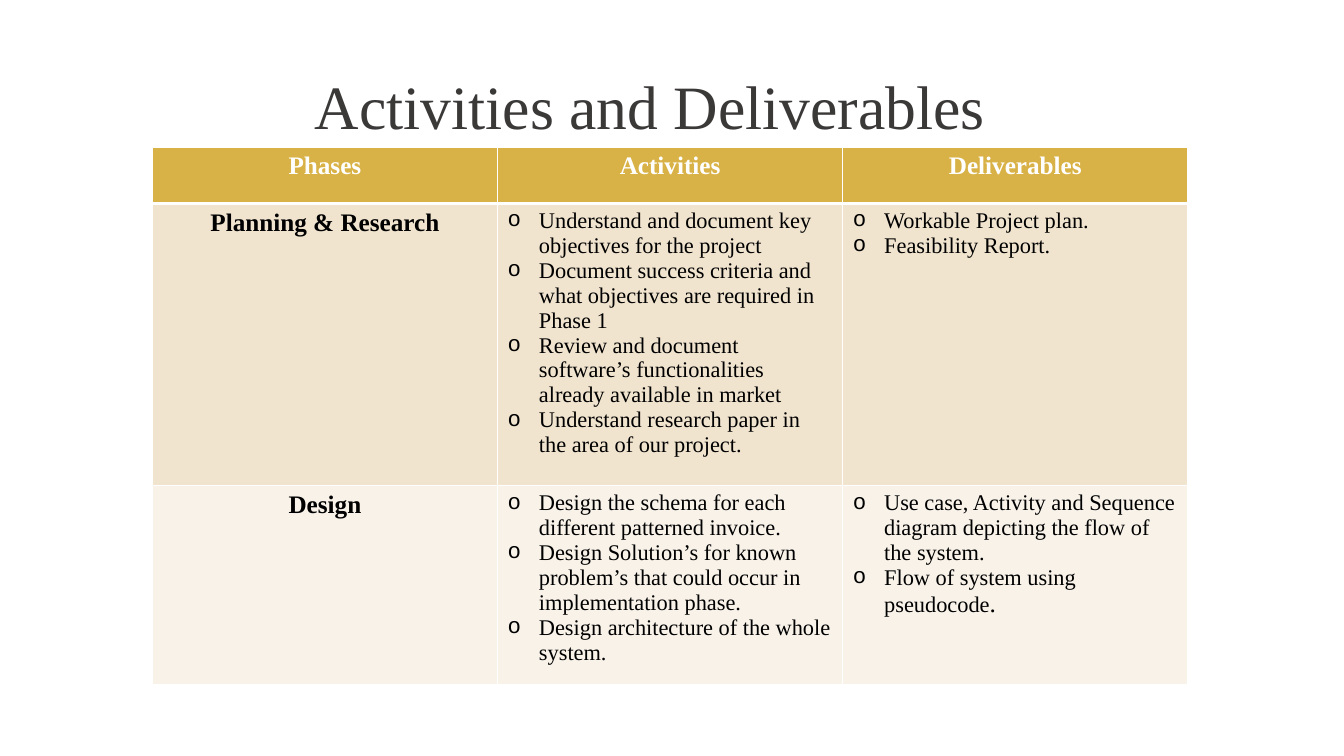
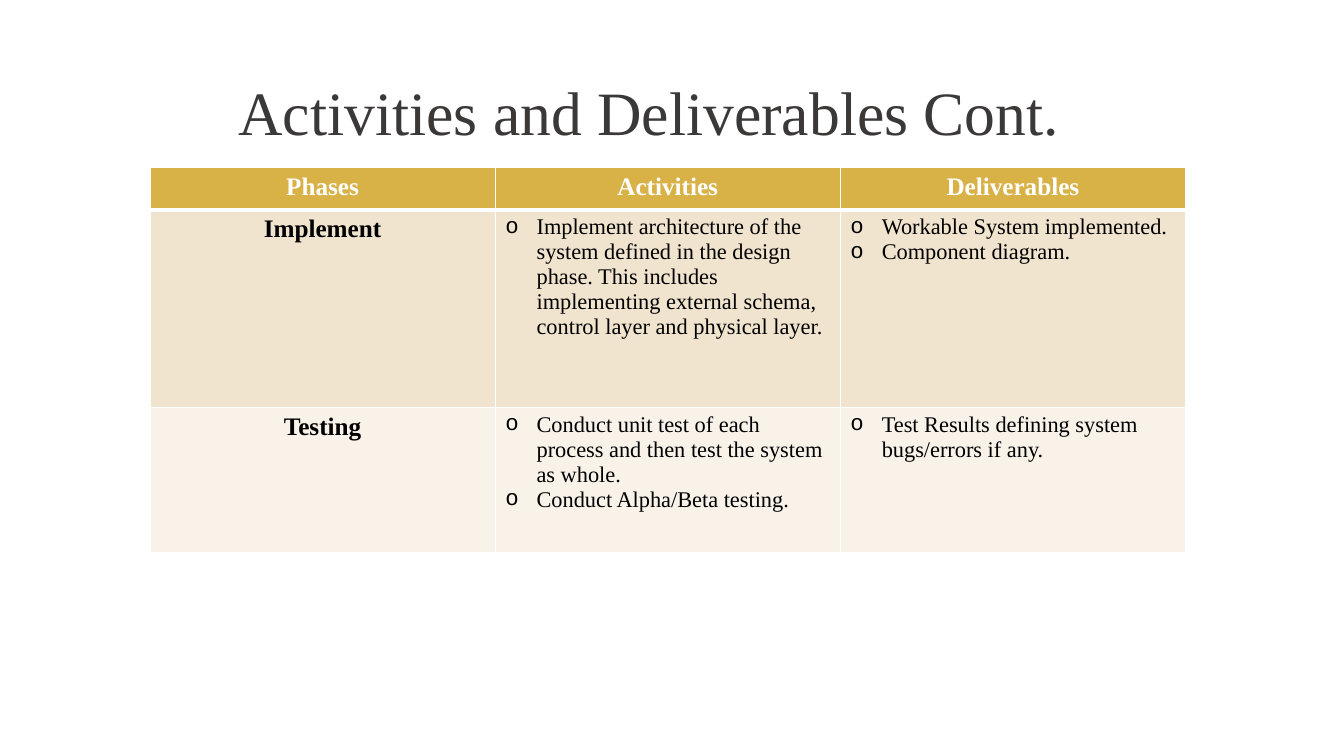
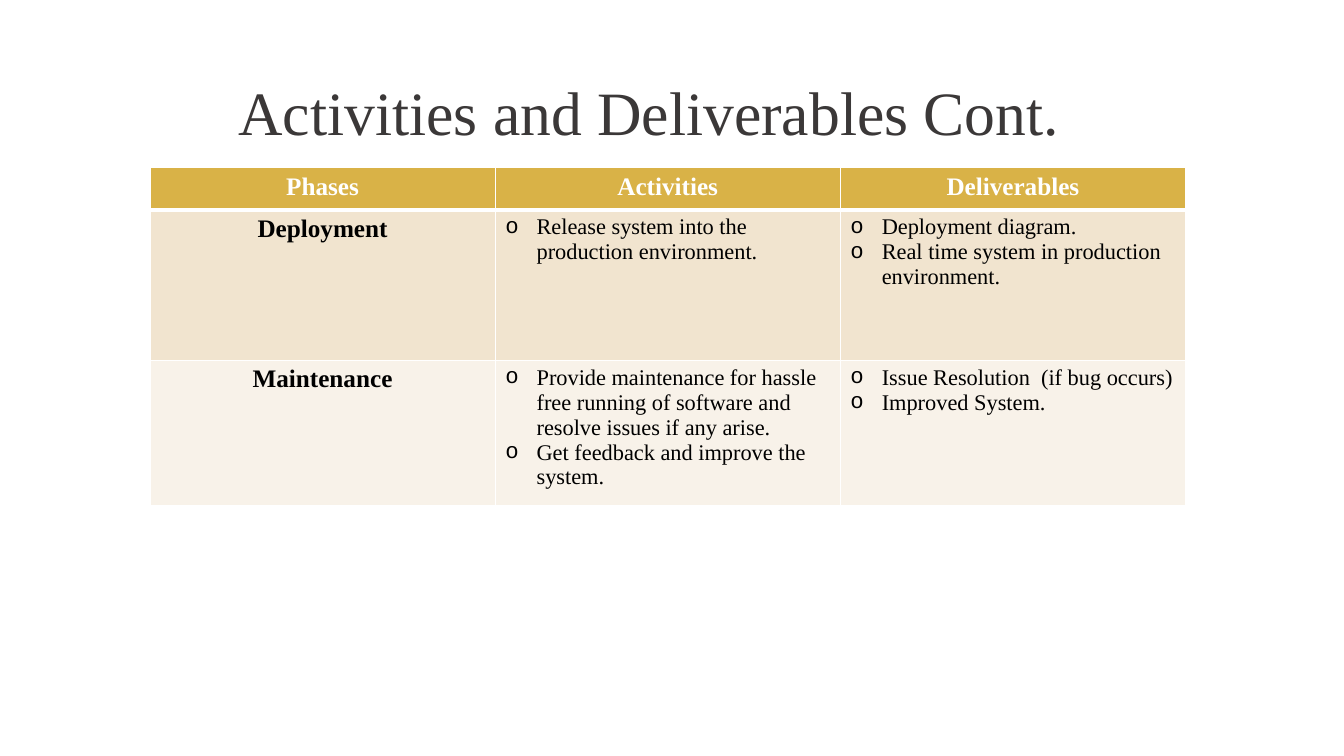
from lxml import etree
from pptx import Presentation
from pptx.dml.color import RGBColor
from pptx.enum import text
from pptx.oxml import ns
from pptx.util import Cm, Pt

HEADINGS = ["Phases", "Activities", "Deliverables"]


class Deck:
    """Holds the shared style and the slide being built."""

    COLORS = {
        "title": "3B3838",
        "header": "D9B247",
        "band": "F1E4CF",
        "pale": "F8F2E9",
        "white": "FFFFFF",
        "body": "000000",
    }
    FONT = "Times New Roman"
    BULLET_FONT = "Courier New"
    COLUMN = 8.7
    INDENT = Cm(0.79)

    def __init__(self):
        self.prs = Presentation()
        self.prs.slide_width, self.prs.slide_height = Cm(33.87), Cm(19.05)
        self.slide = None

    def color(self, key):
        return RGBColor.from_string(self.COLORS[key])

    def style(self, paragraph, size, color, bold=False, centred=True):
        paragraph.alignment = text.PP_ALIGN.CENTER if centred else text.PP_ALIGN.LEFT
        for run in paragraph.runs:
            run.font.name, run.font.size, run.font.bold = self.FONT, Pt(size), bold
            run.font.color.rgb = self.color(color)

    def new_slide(self):
        self.slide = self.prs.slides.add_slide(self.prs.slide_layouts[6])
        self.slide.background.fill.solid()
        self.slide.background.fill.fore_color.rgb = self.color("white")

    def title(self, wording, left, top):
        frame = self.slide.shapes.add_textbox(
            Cm(left), Cm(top), Cm(21.79), Cm(2.13)).text_frame
        frame.word_wrap = True
        frame.vertical_anchor = text.MSO_ANCHOR.BOTTOM
        frame.text = wording
        self.style(frame.paragraphs[0], 44, "title")

    def borders(self, cell, top, bottom):
        props = cell._tc.get_or_add_tcPr()
        for side, width in (("L", 1), ("R", 1), ("T", top), ("B", bottom)):
            line = etree.SubElement(props, ns.qn(f"a:ln{side}"), w=str(Pt(width)))
            fill = etree.SubElement(line, ns.qn("a:solidFill"))
            etree.SubElement(fill, ns.qn("a:srgbClr"), val=self.COLORS["white"])

    def bullets(self, cell, items):
        frame = cell.text_frame
        frame.text = "\n".join(items)
        for paragraph in frame.paragraphs:
            self.style(paragraph, 16, "body", centred=False)
            props = paragraph._p.get_or_add_pPr()
            props.set("marL", str(self.INDENT))
            props.set("indent", str(-self.INDENT))
            etree.SubElement(props, ns.qn("a:buFont"), typeface=self.BULLET_FONT)
            etree.SubElement(props, ns.qn("a:buChar"), char="o")

    def phase_table(self, left, top, heights, phases):
        table = self.slide.shapes.add_table(
            len(heights), len(HEADINGS), Cm(left), Cm(top),
            Cm(self.COLUMN * len(HEADINGS)), Cm(sum(heights))).table
        for column in table.columns:
            column.width = Cm(self.COLUMN)
        fills = ["header", "band", "pale"]
        for r, (height, content) in enumerate(zip(heights, [HEADINGS] + phases)):
            table.rows[r].height = Cm(height)
            for c, entry in enumerate(content):
                cell = table.cell(r, c)
                # A thick rule separates the header from the phases
                self.borders(cell, top=3 if r == 1 else 1, bottom=3 if r == 0 else 1)
                cell.fill.solid()
                cell.fill.fore_color.rgb = self.color(fills[r])
                if isinstance(entry, list):
                    self.bullets(cell, entry)
                else:
                    cell.text_frame.text = entry
                    self.style(cell.text_frame.paragraphs[0], 18,
                               "body" if r else "white", bold=True)
        return table


def main():
    deck = Deck()

    # Planning and design
    deck.new_slide()
    deck.title("Activities and Deliverables", 5.5, 1.57)
    early_phases = deck.phase_table(3.84, 3.71, [1.42, 7.11, 5], [
        ["Planning & Research",
         ["Understand and document key objectives for the project",
          "Document success criteria and what objectives are required in Phase 1",
          "Review and document software’s functionalities already available in market",
          "Understand research paper in the area of our project."],
         ["Workable Project plan.", "Feasibility Report."]],
        ["Design",
         ["Design the schema for each different patterned invoice.",
          "Design Solution’s for known problem’s that could occur in "
          "implementation phase.",
          "Design architecture of the whole system."],
         ["Use case, Activity and Sequence diagram depicting the flow of the system.",
          "Flow of system using pseudocode"]],
    ])
    # The closing full stop is larger than the rest of its line
    pseudocode = early_phases.cell(2, 2).text_frame.paragraphs[-1]
    full_stop = pseudocode.add_run()
    full_stop.text = "."
    deck.style(pseudocode, 16, "body", centred=False)
    full_stop.font.size = Pt(18)

    # Later phases: row heights and contents
    continued = [
        ([1.07, 4.98, 3.66], [
            ["Implement",
             ["Implement architecture of the system defined in the design phase. "
              "This includes implementing external schema, control layer and "
              "physical layer."],
             ["Workable System implemented.", "Component diagram."]],
            ["Testing",
             ["Conduct unit test of each process and then test the system as whole.",
              "Conduct Alpha/Beta testing."],
             ["Test Results defining system bugs/errors if any."]],
        ]),
        ([1.07, 3.79, 3.65], [
            ["Deployment",
             ["Release system into the production environment."],
             ["Deployment diagram.", "Real time system in production environment."]],
            ["Maintenance",
             ["Provide maintenance for hassle free running of software and "
              "resolve issues if any arise.",
              "Get feedback and improve the system."],
             ["Issue Resolution  (if bug occurs)", "Improved System."]],
        ]),
    ]
    for heights, phases in continued:
        deck.new_slide()
        deck.title("Activities and Deliverables Cont.", 5.47, 1.73)
        deck.phase_table(3.78, 4.22, heights, phases)

    deck.prs.save("out.pptx")


if __name__ == "__main__":
    main()
